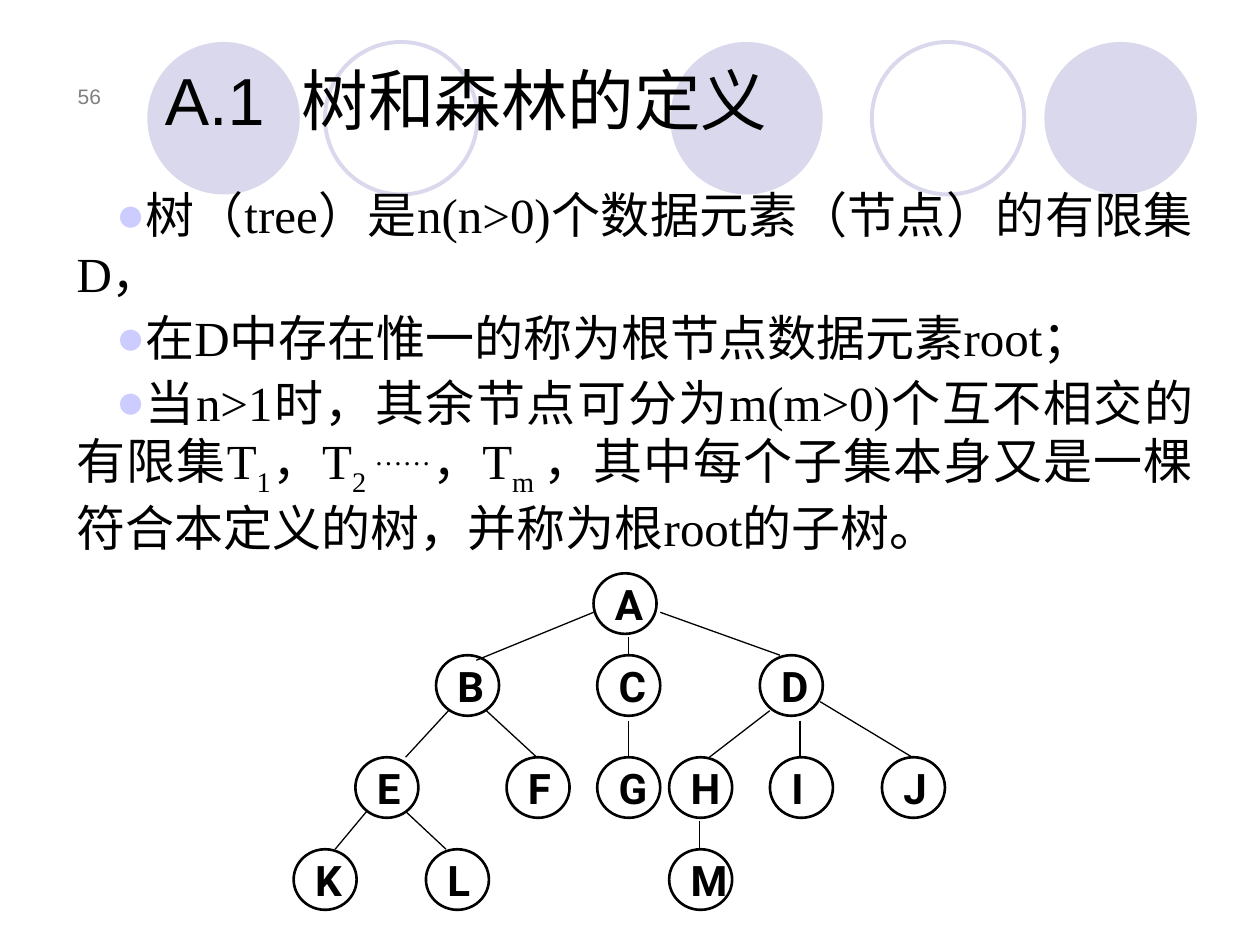
from lxml import etree
from pptx import Presentation
from pptx.dml.color import RGBColor
from pptx.enum.shapes import MSO_CONNECTOR, MSO_SHAPE
from pptx.enum.text import MSO_ANCHOR as ANCHOR, PP_ALIGN as ALIGN
from pptx.oxml.ns import qn
from pptx.util import Pt

BLACK = RGBColor(0, 0, 0)
GRAY = RGBColor(0x80, 0x80, 0x80)
LILAC = RGBColor(0xD9, 0xD8, 0xEC)
BULLET = RGBColor(0xCC, 0xCC, 0xFF)

# Header circles: offset from the band's left edge, filled or outlined
CIRCLES = [(298.8, True), (512.6, True), (0, True), (414, False), (101.5, False)]

# Each paragraph is a list of (text, baseline shift in percent)
BODY = [
    [("树（tree）是n(n>0)个数据元素（节点）的有限集D，", 0)],
    [("在D中存在惟一的称为根节点数据元素root；", 0)],
    [("当n>1时，其余节点可分为m(m>0)个互不相交的有限集T", 0), ("1", -25),
     ("，T", 0), ("2", -25), (" ……", 30), ("，T", 0), ("m ", -25),
     ("，其中每个子集本身又是一棵符合本定义的树，并称为根root的子树。", 0)],
]

# Tree rows: offset from the tree's top, then the left offset of each node
ROWS = [
    (0, {"A": 171.4}),
    (46.8, {"B": 81.4, "C": 173.5, "D": 266.4}),
    (105.1, {"E": 35.3, "F": 121.7, "G": 173.5, "H": 214.6, "I": 272.2, "J": 336.2}),
    (157.7, {"K": 0, "L": 75.6, "M": 214.6}),
]
NODE_W, NODE_H = 36, 34.6

# Branches: x1, y1, x2, y2 from the tree's top left corner
BRANCHES = [
    (171.4, 22.3, 104.4, 49.7),     # A-B
    (191.5, 36.7, 191.5, 46.8),     # A-C
    (209.5, 22.3, 277.9, 46.8),     # A-D
    (88.5, 78.5, 64, 105.1),        # B-E
    (110.1, 78.5, 138.9, 105.1),    # B-F
    (191.5, 84.2, 191.5, 105.1),    # C-G
    (272.1, 78.5, 237.6, 105.1),    # D-H
    (289.4, 84.2, 289.4, 105.1),    # D-I
    (300.9, 73.4, 353.5, 105.1),    # D-J
    (41.7, 136.1, 23.7, 157.7),     # E-K
    (64, 136.1, 87.1, 157.7),       # E-L
    (231.8, 141.8, 231.8, 157.7),   # H-M
]


def add_text_box(s, x, y, w, h, anchor=ANCHOR.TOP):
    tf = s.shapes.add_textbox(Pt(x), Pt(y), Pt(w), Pt(h)).text_frame
    tf.word_wrap = True
    tf.vertical_anchor = anchor
    return tf


def add_run(p, text, size, font, color=BLACK, bold=False):
    r = p.add_run()
    r.text = text
    r.font.size = Pt(size)
    r.font.name = font
    r.font.color.rgb = color
    r.font.bold = bold
    return r


def add_ellipse(s, x, y, w, h, fill=None, line=None, width=0):
    sp = s.shapes.add_shape(MSO_SHAPE.OVAL, Pt(x), Pt(y), Pt(w), Pt(h))
    sp.shadow.inherit = False
    if fill is None:
        sp.fill.background()
    else:
        sp.fill.solid()
        sp.fill.fore_color.rgb = fill
    if line is None:
        sp.line.fill.background()
    else:
        sp.line.color.rgb = line
        sp.line.width = Pt(width)


def add_branch(s, x1, y1, x2, y2):
    line = s.shapes.add_connector(MSO_CONNECTOR.STRAIGHT, Pt(x1), Pt(y1), Pt(x2), Pt(y2))
    line.line.color.rgb = BLACK
    line.line.width = Pt(0.75)
    sp_pr = line._element.find(qn("p:spPr"))
    etree.SubElement(sp_pr, qn("a:effectLst"))


def set_bullet(p, indent):
    p_pr = p._p.get_or_add_pPr()
    p_pr.set("marL", "0")
    p_pr.set("indent", str(int(Pt(indent))))
    color = etree.SubElement(p_pr, qn("a:buClr"))
    etree.SubElement(color, qn("a:srgbClr"), val=str(BULLET))
    etree.SubElement(p_pr, qn("a:buFont"), typeface="Arial")
    etree.SubElement(p_pr, qn("a:buChar"), char="●")


def add_circle_band(s, x, y, size):
    for dx, filled in CIRCLES:
        if filled:
            add_ellipse(s, x + dx, y, size, size, fill=LILAC)
        else:
            add_ellipse(s, x + dx, y, size, size, line=LILAC, width=2.25)


def add_slide_number(s, x, y, w, h):
    p = add_text_box(s, x, y, w, h, ANCHOR.BOTTOM).paragraphs[0]
    p.alignment = ALIGN.RIGHT
    add_run(p, "56", 12, "Arial", GRAY)


def add_title(s, x, y, w, h):
    p = add_text_box(s, x, y, w, h, ANCHOR.BOTTOM).paragraphs[0]
    add_run(p, "A.1  树和森林的定义", 38, "Arial")


def add_body(s, x, y, w, h):
    tf = add_text_box(s, x, y, w, h)
    for i, parts in enumerate(BODY):
        p = tf.add_paragraph() if i else tf.paragraphs[0]
        p.alignment = ALIGN.JUSTIFY
        p.space_before = Pt(3 if i else 6)
        set_bullet(p, 22.5)
        for text, shift in parts:
            r = add_run(p, text, 28, "Times New Roman")
            if shift:
                r.font._element.set("baseline", str(shift * 1000))


def add_node(s, x, y, label):
    tf = add_text_box(s, x + 12.2, y + 8.8, 19.2, 23)
    tf.margin_left = tf.margin_right = tf.margin_top = tf.margin_bottom = 0
    p = tf.paragraphs[0]
    p.line_spacing = 0.8
    add_run(p, label, 24, "Roboto", bold=True)
    add_ellipse(s, x, y, NODE_W, NODE_H, line=BLACK, width=1.5)


def add_tree(s, x, y):
    for x1, y1, x2, y2 in BRANCHES:
        add_branch(s, x + x1, y + y1, x + x2, y + y2)
    for dy, nodes in ROWS:
        for label, dx in nodes.items():
            add_node(s, x + dx, y + dy, label)


def main():
    prs = Presentation()
    prs.slide_width, prs.slide_height = Pt(720), Pt(540)
    s = prs.slides.add_slide(prs.slide_layouts[6])
    add_circle_band(s, 84.2, 24, 87.1)
    add_slide_number(s, 25.2, 31.7, 39.6, 33.8)
    add_title(s, 87.1, 37.4, 545.8, 45.4)
    add_body(s, 36.7, 102.2, 652.3, 218.9)
    add_tree(s, 167.8, 327.6)
    prs.save("out.pptx")


if __name__ == "__main__":
    main()
